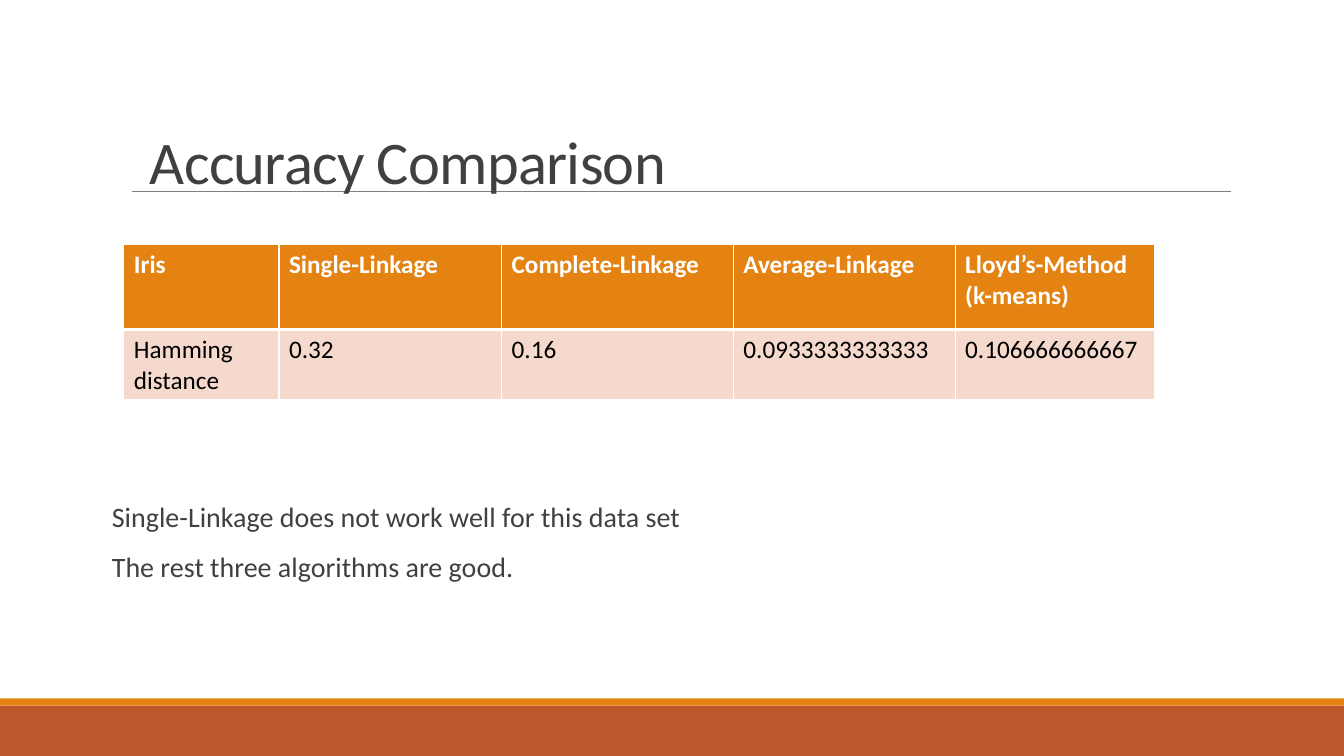
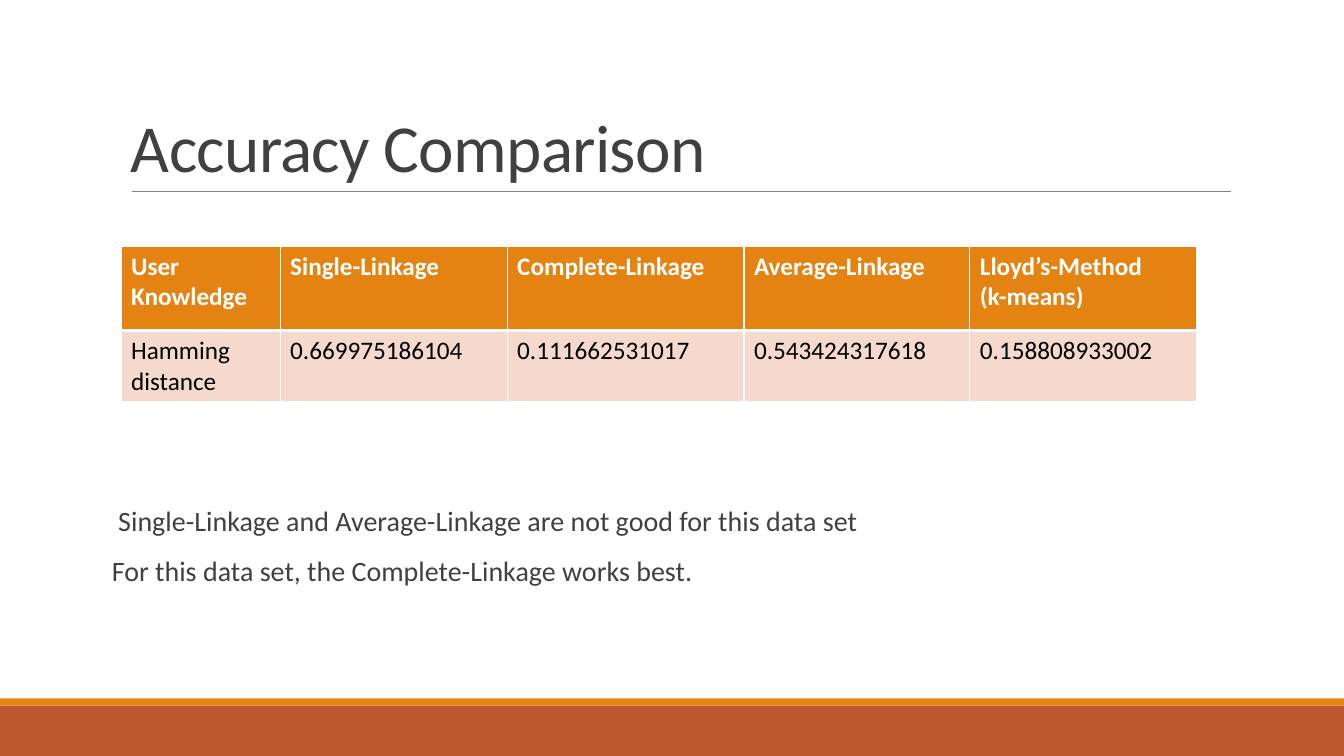
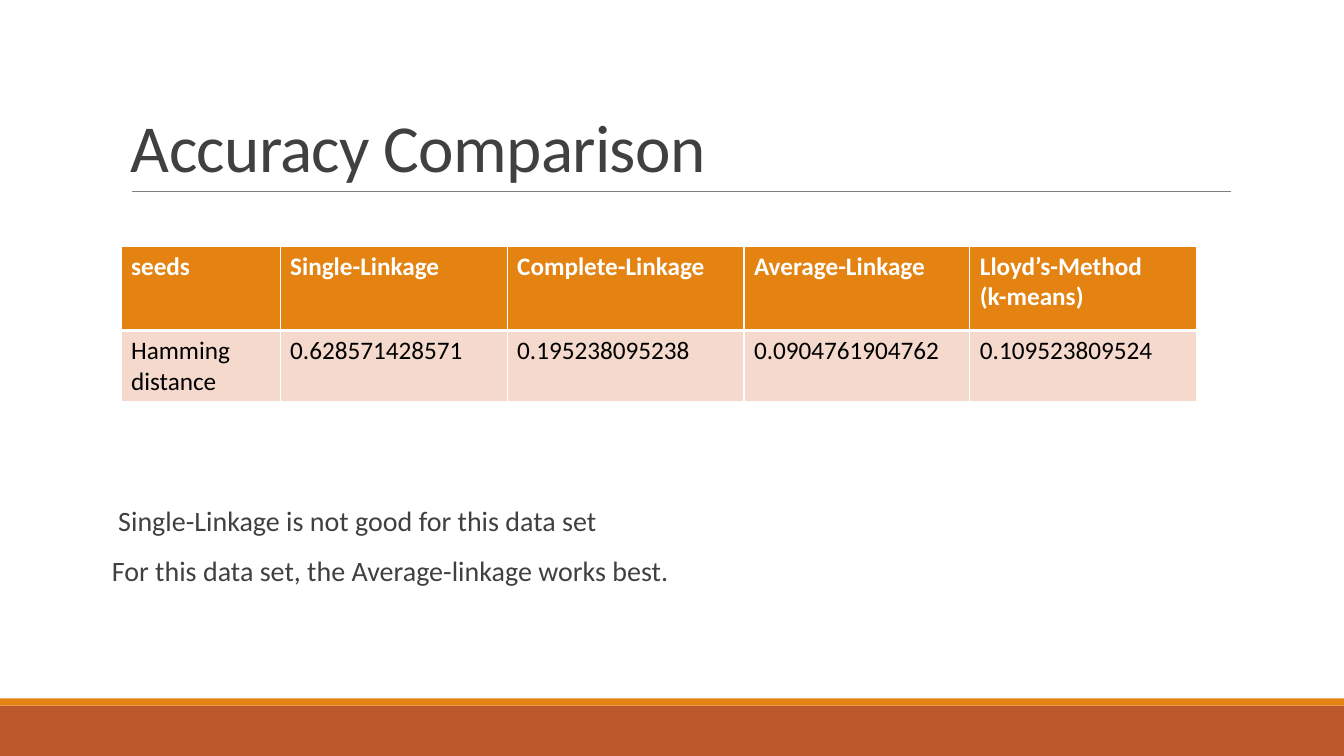
from pptx import Presentation
from pptx.dml.color import RGBColor
from pptx.enum.shapes import MSO_CONNECTOR, MSO_SHAPE
from pptx.enum.text import MSO_ANCHOR
from pptx.oxml.ns import qn
from pptx.util import Cm, Pt
from lxml import etree

RECTANGLE = MSO_SHAPE.RECTANGLE
STRAIGHT = MSO_CONNECTOR.STRAIGHT
TOP, BOTTOM = MSO_ANCHOR.TOP, MSO_ANCHOR.BOTTOM

# Content
TITLE = "Accuracy Comparison"
METHODS = ["Single-Linkage", "Complete-Linkage", "Average-Linkage",
           "Lloyd’s-Method\n(k-means)"]
MEASURE = "Hamming\ndistance"

# Placement in cm: the first slide has its own, the others share one
FIRST_LAYOUT = {
    "title": (3.53, 3.33, 29.21, 1.73), "title_size": 43.2, "title_spacing": 0.75,
    "table": (3.12, 6.17), "columns": [3.91, 5.61, 5.84, 5.59, 5.03],
    "notes": (2.82, 12.57, 26.11, 2.82), "first_margin": 0,
}
COMMON_LAYOUT = {
    "title": (3.05, 0.79, 27.94, 4.04), "title_size": 48, "title_spacing": 0.85,
    "table": (3.05, 6.2), "columns": [4.01, 5.72, 5.97, 5.69, 5.72],
    "notes": (2.82, 12.67, 26.11, 2.39), "first_margin": 0.16,
}
SLIDES = [
    ("Iris", ["0.32", "0.16", "0.0933333333333", "0.106666666667"],
     ["Single-Linkage does not work well for this data set",
      "The rest three algorithms are good."], FIRST_LAYOUT),
    ("User Knowledge",
     ["0.669975186104", "0.111662531017", "0.543424317618", "0.158808933002"],
     ["Single-Linkage and Average-Linkage are not good for this data set",
      "For this data set, the Complete-Linkage works best."], COMMON_LAYOUT),
    ("seeds",
     ["0.628571428571", "0.195238095238", "0.0904761904762", "0.109523809524"],
     ["Single-Linkage is not good for this data set",
      "For this data set, the Average-linkage works best."], COMMON_LAYOUT),
]

# Shared style
FONT = "Calibri"
ORANGE, RUST, PINK = "E48312", "BD582C", "F5D9CC"
TEXT, RULE, WHITE, BLACK = "404040", "808080", "FFFFFF", "000000"
WIDTH, HEIGHT = 33.87, 19.05
BANDS = [(17.78, 1.27, RUST), (17.6, 0.18, ORANGE)]
RULE_LEFT, RULE_RIGHT, RULE_TOP = 3.33, 31.01, 4.83
ROW_HEIGHTS = [2.13, 1.78]


def color(value):
    return RGBColor.from_string(value)


def format_text(text_frame, size, text_color, bold=False):
    for paragraph in text_frame.paragraphs:
        for run in paragraph.runs:
            run.font.name = FONT
            run.font.size = Pt(size)
            run.font.bold = bold
            run.font.color.rgb = color(text_color)


def add_text(slide, box, text, size, anchor):
    text_frame = slide.shapes.add_textbox(*map(Cm, box)).text_frame
    text_frame.word_wrap = True
    text_frame.vertical_anchor = anchor
    text_frame.text = text
    format_text(text_frame, size, TEXT)
    return text_frame


def add_frame(slide):
    """Draw the footer bands and the rule under the title."""
    for top, height, fill in BANDS:
        band = slide.shapes.add_shape(RECTANGLE, 0, Cm(top), Cm(WIDTH), Cm(height))
        band.shadow.inherit = False
        band.fill.solid()
        band.fill.fore_color.rgb = color(fill)
        band.line.fill.background()
    rule = slide.shapes.add_connector(
        STRAIGHT, Cm(RULE_LEFT), Cm(RULE_TOP), Cm(RULE_RIGHT), Cm(RULE_TOP))
    rule.line.color.rgb = color(RULE)
    rule.line.width = Pt(0.5)
    etree.SubElement(rule.line._get_or_add_ln().getparent(), qn("a:effectLst"))


def add_title(slide, layout):
    text_frame = add_text(slide, layout["title"], TITLE, layout["title_size"], BOTTOM)
    paragraph = text_frame.paragraphs[0]
    paragraph.line_spacing = layout["title_spacing"]
    paragraph.runs[0].font._element.set("spc", "-50")


def set_borders(cell, widths):
    """Put white borders before the cell's fill, as the schema orders them."""
    properties = cell._tc.get_or_add_tcPr()
    for position, (side, width) in enumerate(widths.items()):
        line = etree.Element(qn(f"a:ln{side}"), w=str(Pt(width)))
        fill = etree.SubElement(line, qn("a:solidFill"))
        etree.SubElement(fill, qn("a:srgbClr"), val=WHITE)
        properties.insert(position, line)


def add_table(slide, rows, layout):
    columns = layout["columns"]
    left, top = layout["table"]
    table = slide.shapes.add_table(
        len(rows), len(columns), Cm(left), Cm(top),
        Cm(sum(columns)), Cm(sum(ROW_HEIGHTS))).table
    for column, width in zip(table.columns, columns):
        column.width = Cm(width)
    for index, (row, height) in enumerate(zip(table.rows, ROW_HEIGHTS)):
        row.height = Cm(height)
        header = index == 0
        borders = {"L": 1, "R": 1, "T": 1 if header else 3, "B": 3 if header else 1}
        for cell, text in zip(row.cells, rows[index]):
            cell.text_frame.text = text
            format_text(cell.text_frame, 18, WHITE if header else BLACK, header)
            cell.fill.solid()
            cell.fill.fore_color.rgb = color(ORANGE if header else PINK)
            set_borders(cell, borders)


def add_notes(slide, lines, layout):
    text_frame = add_text(slide, layout["notes"], "\n".join(lines), 20, TOP)
    text_frame.margin_left = text_frame.margin_right = 0
    for paragraph in text_frame.paragraphs:
        paragraph.line_spacing = 0.9
        paragraph.space_before = Pt(12)
        paragraph.space_after = Pt(2)
    first = text_frame.paragraphs[0]._p.get_or_add_pPr()
    first.set("marL", str(Cm(layout["first_margin"])))


def main():
    presentation = Presentation()
    presentation.slide_width = Cm(WIDTH)
    presentation.slide_height = Cm(HEIGHT)
    blank = presentation.slide_layouts[6]
    for data_set, distances, lines, layout in SLIDES:
        slide = presentation.slides.add_slide(blank)
        add_frame(slide)
        add_title(slide, layout)
        add_table(slide, [[data_set, *METHODS], [MEASURE, *distances]], layout)
        add_notes(slide, lines, layout)
    presentation.save("out.pptx")


if __name__ == "__main__":
    main()
